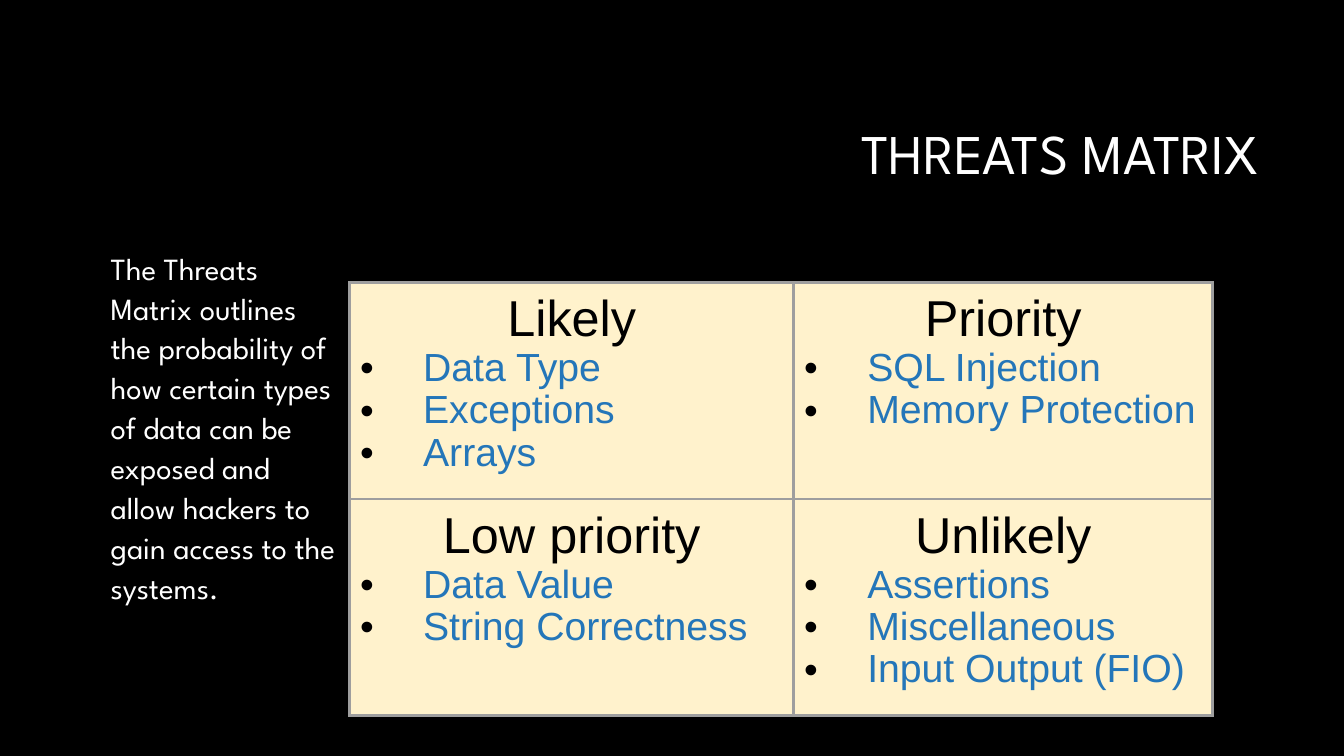
from lxml.etree import SubElement
from pptx import Presentation
from pptx.dml.color import RGBColor
from pptx.enum.text import MSO_ANCHOR, PP_ALIGN
from pptx.oxml.ns import qn
from pptx.util import Pt

PX = 9525
BLACK = RGBColor(0x00, 0x00, 0x00)
WHITE = RGBColor(0xFF, 0xFF, 0xFF)
CREAM = RGBColor(0xFF, 0xF2, 0xCC)
BLUE = RGBColor(0x24, 0x76, 0xB9)
GREY = RGBColor(0x9E, 0x9E, 0x9E)

SUMMARY = ("The Threats Matrix outlines the probability of how certain types of data "
           "can be exposed and allow hackers to gain access to the systems.")
THREATS = [
    [("Likely", ["Data Type", "Exceptions", "Arrays"]),
     ("Priority", ["SQL Injection", "Memory Protection"])],
    [("Low priority", ["Data Value", "String Correctness"]),
     ("Unlikely", ["Assertions", "Miscellaneous", "Input Output (FIO)"])],
]


def scaled(box):
    return [length * PX for length in box]


def style(paragraph, font_name, size, color, spacing, align=PP_ALIGN.LEFT):
    paragraph.alignment = align
    paragraph.line_spacing = spacing
    for run in paragraph.runs:
        run.font.name = font_name
        run.font.size = Pt(size)
        run.font.bold = False
        run.font.color.rgb = color


def add_bullet(paragraph, indent):
    properties = paragraph._p.get_or_add_pPr()
    properties.set("marL", str(indent * PX))
    properties.set("indent", str(-indent * PX))
    bullet_color = SubElement(properties, qn("a:buClr"))
    SubElement(bullet_color, qn("a:srgbClr"), val=str(BLACK))
    SubElement(properties, qn("a:buFont"), typeface="Arial")
    SubElement(properties, qn("a:buChar"), char="•")


def add_borders(cell):
    properties = cell._tc.get_or_add_tcPr()
    for side in ("lnL", "lnR", "lnT", "lnB"):
        line = SubElement(properties, qn(f"a:{side}"), w=str(Pt(2.25)))
        fill = SubElement(line, qn("a:solidFill"))
        SubElement(fill, qn("a:srgbClr"), val=str(GREY))


def place_title(slide, box):
    title = slide.shapes.title
    title.left, title.top, title.width, title.height = scaled(box)
    frame = title.text_frame
    frame.text = "THREATS MATRIX"
    frame.word_wrap = True
    frame.vertical_anchor = MSO_ANCHOR.MIDDLE
    style(frame.paragraphs[0], "League Spartan", 40, WHITE, 0.9, PP_ALIGN.RIGHT)


def place_summary(slide, box):
    frame = slide.shapes.add_textbox(*scaled(box)).text_frame
    frame.word_wrap = True
    frame.text = SUMMARY
    summary = frame.paragraphs[0]
    summary._p.get_or_add_pPr().set("marL", str(24 * PX))
    style(summary, "League Spartan", 22, WHITE, 1.08)


def fill_quadrant(cell, heading, threats):
    cell.margin_left = cell.margin_right = 10 * PX
    cell.margin_top = cell.margin_bottom = 10 * PX
    add_borders(cell)
    cell.fill.solid()
    cell.fill.fore_color.rgb = CREAM
    frame = cell.text_frame
    frame.text = "\n".join([heading, *threats])
    style(frame.paragraphs[0], "Arial", 36, BLACK, 0.97, PP_ALIGN.CENTER)
    for threat in frame.paragraphs[1:]:
        add_bullet(threat, 60)
        style(threat, "Arial", 28, BLUE, 0.97)


def place_matrix(slide, box, column_widths):
    rows, columns = len(THREATS), len(column_widths)
    matrix = slide.shapes.add_table(rows, columns, *scaled(box)).table
    matrix.first_row = matrix.horz_banding = False
    for column, width in zip(matrix.columns, column_widths):
        column.width = width * PX
    for row, quadrants in zip(matrix.rows, THREATS):
        for cell, (heading, threats) in zip(row.cells, quadrants):
            fill_quadrant(cell, heading, threats)


def main():
    deck = Presentation()
    deck.slide_width, deck.slide_height = scaled((1280, 720))
    slide = deck.slides.add_slide(deck.slide_layouts[5])
    slide.background.fill.solid()
    slide.background.fill.fore_color.rgb = BLACK
    place_title(slide, (304, 81, 904, 135))
    place_summary(slide, (72, 230, 261, 422))
    place_matrix(slide, (333, 269, 822, 396), (423, 399))
    deck.save("out.pptx")


if __name__ == "__main__":
    main()
